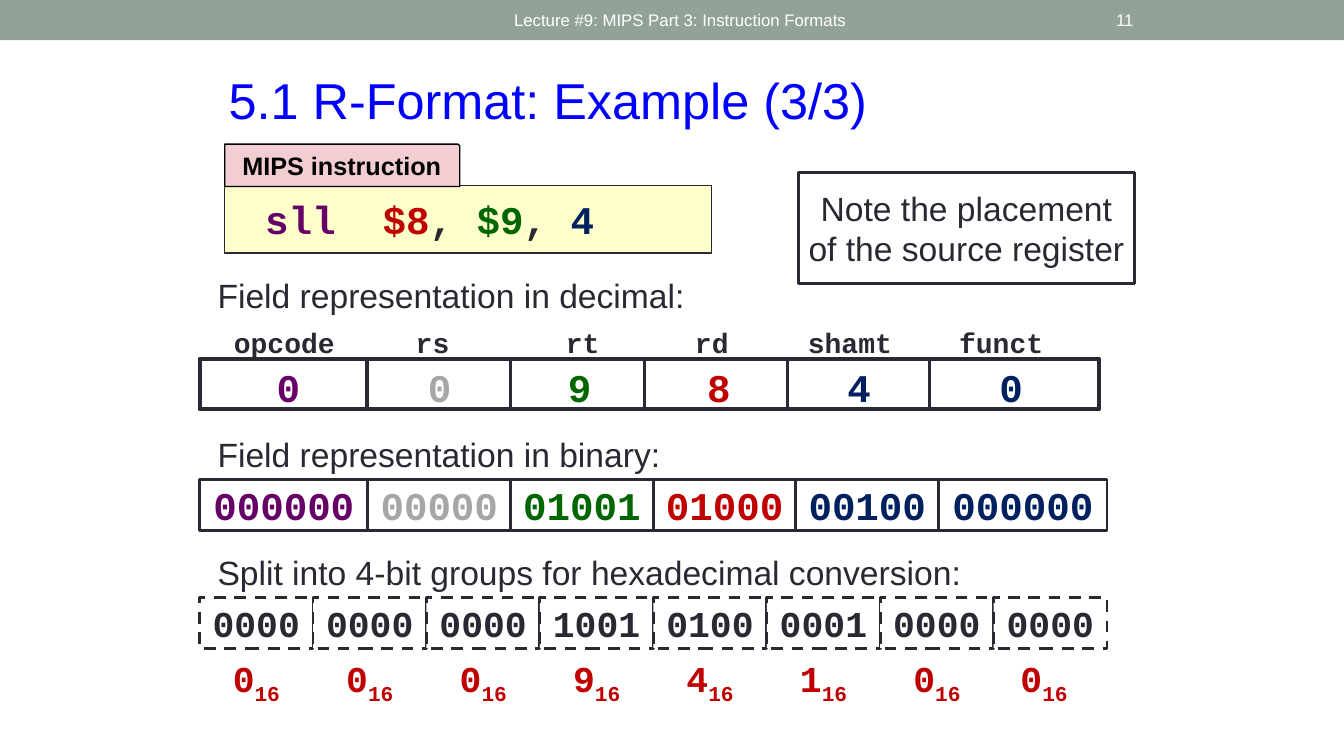
"""Builds the slide that encodes the MIPS sll instruction in R-format."""
from pptx import Presentation
from pptx.dml.color import RGBColor
from pptx.enum.dml import MSO_LINE
from pptx.enum.shapes import MSO_CONNECTOR, MSO_SHAPE
from pptx.enum.text import MSO_ANCHOR, PP_ALIGN
from pptx.oxml.ns import qn
from pptx.util import Inches, Pt
from lxml import etree

RECT, SNIPPED = MSO_SHAPE.RECTANGLE, MSO_SHAPE.SNIP_1_RECTANGLE
STRAIGHT, DASH = MSO_CONNECTOR.STRAIGHT, MSO_LINE.DASH
LEFT, CENTER, RIGHT = PP_ALIGN.LEFT, PP_ALIGN.CENTER, PP_ALIGN.RIGHT
TOP, MIDDLE = MSO_ANCHOR.TOP, MSO_ANCHOR.MIDDLE

COLORS = {
    "bar": "93A299", "white": "FFFFFF", "title": "0000FF", "ink": "292934",
    "black": "000000", "opcode": "660066", "unused": "A6A6A6",
    "source": "006600", "target": "C00000", "constant": "002060",
    "code": "FFFFCC", "tag": "F2CED2",
}
SANS, MONO = "Arial", "Courier New"


class SlideBuilder:
    """Holds the style and the current slide."""

    def __init__(self, slide):
        self.slide = slide

    def color(self, name):
        return RGBColor.from_string(COLORS[name])

    def fill_text(self, frame, runs, size, font=SANS, bold=False, align=CENTER, anchor=MIDDLE):
        frame.word_wrap = True
        frame.vertical_anchor = anchor
        paragraph = frame.paragraphs[0]
        paragraph.alignment = align
        for words, color in runs:
            run = paragraph.add_run()
            run.text = words
            run.font.name, run.font.size, run.font.bold = font, Pt(size), bold
            run.font.color.rgb = self.color(color)
        return paragraph

    def text(self, box, words, size, color="ink", font=SANS, bold=False, align=LEFT, anchor=TOP):
        frame = self.slide.shapes.add_textbox(*map(Inches, box)).text_frame
        self.fill_text(frame, [(words, color)], size, font, bold, align, anchor)

    def shape(self, box, fill=None, line=None, width=2.08, dash=None, kind=RECT):
        shape = self.slide.shapes.add_shape(kind, *map(Inches, box))
        shape.shadow.inherit = False
        if fill:
            shape.fill.solid()
            shape.fill.fore_color.rgb = self.color(fill)
        else:
            shape.fill.background()
        if line:
            shape.line.color.rgb = self.color(line)
            shape.line.width = Pt(width)
            if dash:
                shape.line.dash_style = dash
        else:
            shape.line.fill.background()
        return shape

    def cell(self, box, runs, size, line="ink", dash=None):
        cell = self.shape(box, "white", line, dash=dash)
        return self.fill_text(cell.text_frame, runs, size, MONO, True)

    def divider(self, x, top, bottom):
        line = self.slide.shapes.add_connector(
            STRAIGHT, Inches(x), Inches(top), Inches(x), Inches(bottom))
        line.line.color.rgb = self.color("ink")
        line.line.width = Pt(2.25)
        etree.SubElement(line._element.spPr, qn("a:effectLst"))


def main():
    prs = Presentation()
    prs.slide_width, prs.slide_height = Inches(13.33), Inches(7.5)
    page = SlideBuilder(prs.slides.add_slide(prs.slide_layouts[6]))

    page.shape((0, 0, 13.33, 0.4), "bar")
    page.text((5, 0.02, 6, 0.36), "Lecture #9: MIPS Part 3: Instruction Formats",
              12, "white", anchor=MIDDLE)
    page.text((10.39, 0.02, 0.95, 0.36), "11", 12, "white", align=RIGHT, anchor=MIDDLE)
    page.text((2.17, 0.64, 9, 0.71), "5.1 R-Format: Example (3/3)", 36, "title")

    for top, heading in (
        (2.68, "Field representation in decimal:"),
        (4.26, "Field representation in binary:"),
        (5.43, "Split into 4-bit groups for hexadecimal conversion:"),
    ):
        page.text((2.06, top, 8, 0.5), heading, 24)

    row_left, row_width, row_height = 1.98, 9, 0.5
    decimal_top, binary_top, group_top, hex_top = 3.56, 4.76, 5.93, 6.51

    fields = (
        ("opcode", 2.82, "0", 2.86, "000000", "opcode"),
        ("rs", 4.29, "0", 4.36, "00000", "unused"),
        ("rt", 5.78, "9", 5.75, "01001", "source"),
        ("rd", 7.06, "8", 7.13, "01000", "target"),
        ("shamt", 8.43, "4", 8.52, "00100", "constant"),
        ("funct", 9.93, "0", 10.03, "000000", "constant"),
    )
    wide = 1.67
    narrow = (row_width - 2 * wide) / 4
    left = row_left
    for name, name_center, decimal, decimal_center, bits, color in fields:
        page.text((name_center - 0.7, 3.18, 1.4, 0.43), name, 20,
                  font=MONO, bold=True, align=CENTER)
        page.text((decimal_center - 0.3, decimal_top, 0.6, 0.57), decimal, 28,
                  color, MONO, True, CENTER)
        width = wide if len(bits) == 6 else narrow
        page.cell((left, binary_top, width, row_height), [(bits, color)], 28)
        left += width

    page.shape((row_left, decimal_top, 8.92, row_height), line="ink", width=3)
    for x in (3.64, 5.06, 6.39, 7.81, 9.22):
        page.divider(x, decimal_top, decimal_top + row_height)

    instruction_bits = "".join(field[4] for field in fields)
    group_width = row_width / 8
    for index in range(8):
        left = row_left + index * group_width
        group = instruction_bits[4 * index:4 * index + 4]
        page.cell((left, group_top, group_width, row_height), [(group, "ink")], 26, dash=DASH)
        base = "16 " if index == 7 else "16"
        hex_digit = page.cell((left, hex_top, group_width, row_height),
                              [(f"{int(group, 2):X}", "target"), (base, "target")],
                              26, line=None)
        hex_digit.runs[1].font._element.set("baseline", "-25000")

    note = page.shape((7.92, 1.71, 3.33, 1.1), "white", "ink").text_frame
    note.margin_left = note.margin_right = Inches(0.08)
    page.fill_text(note, [("Note the placement of the source register", "ink")], 24)

    code = page.shape((2.23, 1.84, 4.83, 0.67), "code", "ink", 1).text_frame
    code.margin_left = Inches(0.4)
    page.fill_text(code, [("sll  ", "opcode"), ("$8", "target"), (", ", "ink"),
                          ("$9", "source"), (", ", "ink"), ("4", "constant")],
                   28, MONO, True, LEFT)

    tag = page.shape((2.23, 1.43, 2.33, 0.42), "tag", "black", 1, kind=SNIPPED)
    tag.adjustments[0] = 0.04
    page.fill_text(tag.text_frame, [("MIPS instruction", "black")], 18, bold=True)

    prs.save("out.pptx")


if __name__ == "__main__":
    main()
